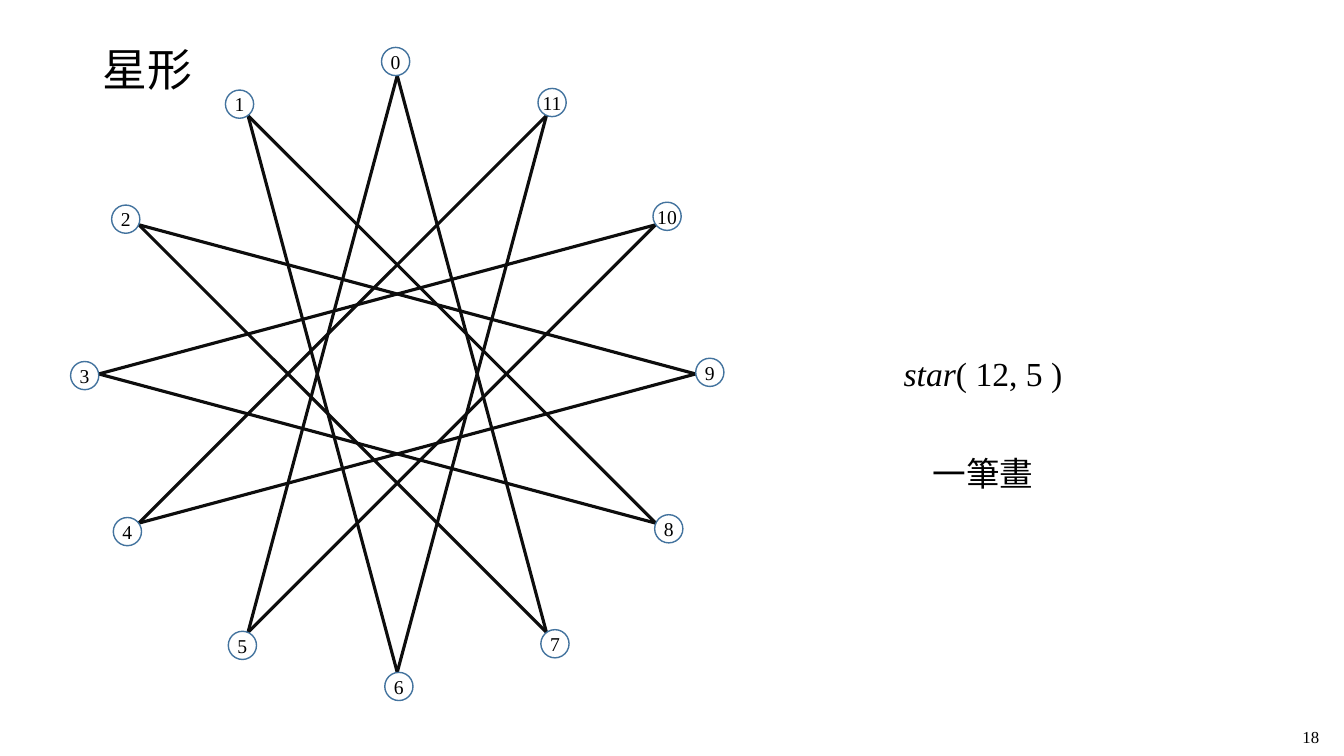
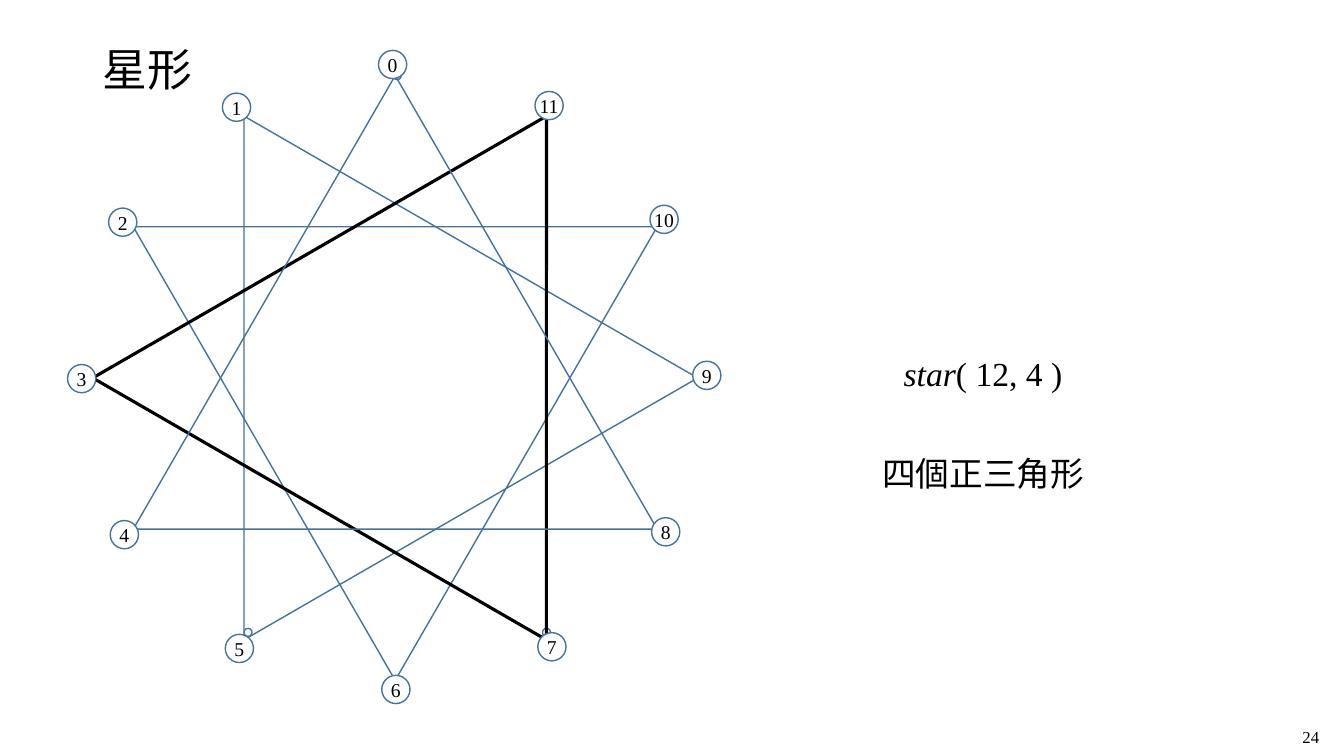
from dataclasses import dataclass
from math import cos, radians, sin

from lxml.etree import SubElement
from pptx import Presentation
from pptx.dml.color import RGBColor
from pptx.enum.shapes import MSO_CONNECTOR, MSO_SHAPE
from pptx.enum.text import MSO_ANCHOR, MSO_AUTO_SIZE, PP_ALIGN
from pptx.oxml.ns import qn
from pptx.util import Inches, Pt


@dataclass(frozen=True)
class Theme:
    black: RGBColor = RGBColor(0, 0, 0)
    ink: RGBColor = RGBColor(0x0D, 0x0D, 0x0D)
    blue: RGBColor = RGBColor(0x43, 0x73, 0x9E)
    white: RGBColor = RGBColor(255, 255, 255)
    serif: str = "Times New Roman"
    cjk: str = "Noto Sans CJK SC"
    title_size: Pt = Pt(32)
    caption_size: Pt = Pt(24)
    badge_size: Pt = Pt(14)
    number_size: Pt = Pt(12)
    thin: Pt = Pt(1)
    thick: Pt = Pt(2.25)


theme = Theme()

POINTS = 12
STAR_CENTRE, STAR_RADIUS = (3.94, 3.71), 2.96
TRIANGLE_CENTRE, TRIANGLE_RADIUS = (3.92, 3.75), 3
BADGE_RADIUS, BADGE_TILT = 3.1, 0.3

# step, caption, page number, centre of the badge ring
STARS = [
    (5, "一筆畫", "18", (3.94, 3.71)),
    (4, "四個正三角形", "24", (3.91, 3.74)),
]


def ring_point(index, centre, radius, tilt=0):
    """Place point `index` in inches, counting anticlockwise from the top."""
    angle = radians(index * 360 / POINTS + tilt)
    return centre[0] - radius * sin(angle), centre[1] - radius * cos(angle)


def style_text(frame, size, font=theme.serif, align=PP_ALIGN.CENTER):
    frame.vertical_anchor = MSO_ANCHOR.MIDDLE
    for para in frame.paragraphs:
        para.alignment = align
        for span in para.runs:
            span.font.size = size
            span.font.color.rgb = theme.black
            span.font.name = font
            SubElement(span.font._element, qn("a:ea"), typeface=theme.cjk)


deck = Presentation()
deck.slide_width, deck.slide_height = Inches(13.33), Inches(7.5)

layout = deck.slide_layouts.get_by_name("Title Only")
layout_title = layout.placeholders[0]
layout_title.left, layout_title.top = Inches(0.92), Inches(0.4)
layout_title.width, layout_title.height = Inches(11.5), Inches(0.62)

for step, caption, number, badge_centre in STARS:
    page = deck.slides.add_slide(layout)
    title = page.shapes.title.text_frame
    title.text = "星形"
    title.auto_size = MSO_AUTO_SIZE.NONE
    title.paragraphs[0].line_spacing = 0.9
    style_text(title, theme.title_size, theme.cjk, PP_ALIGN.LEFT)

    # Captions: the call in italics and roman, then its meaning
    call = [("star", True), (f"( {POINTS}, {step} )", False)]
    for row, spans in enumerate([call, [(caption, False)]]):
        box = page.shapes.add_shape(MSO_SHAPE.RECTANGLE, Inches(8.3),
                                    Inches(3.21 + 0.99 * row), Inches(2.9), Inches(0.99))
        box.shadow.inherit = False
        box.fill.solid()
        box.fill.fore_color.rgb = theme.white
        box.line.fill.background()
        for text, italic in spans:
            span = box.text_frame.paragraphs[0].add_run()
            span.text = text
            span.font.italic = italic
        style_text(box.text_frame, theme.caption_size)

    # Circles as (centre, diameter, label): small marks first, then badges
    badges = [(ring_point(i, badge_centre, BADGE_RADIUS, BADGE_TILT), 0.28, str(i))
              for i in range(POINTS)]
    marks = [(ring_point(i, STAR_CENTRE, STAR_RADIUS), 0.08, "") for i in (7, 0, 5)]

    if POINTS % step:
        # One closed stroke through every point
        circle_sets = [badges]
        for i in range(POINTS):
            start, end = (ring_point(9 + step * k, STAR_CENTRE, STAR_RADIUS)
                          for k in (i, i + 1))
            edge = page.shapes.add_connector(MSO_CONNECTOR.STRAIGHT,
                                             *map(Inches, start + end))
            edge.line.color.rgb = theme.ink
            edge.line.width = theme.thick
            SubElement(edge._element.spPr, qn("a:effectLst"))
    else:
        # Separate triangles, one of them emphasised
        circle_sets = [marks, badges]

    for circles in circle_sets:
        if circles is badges and POINTS % step == 0:
            for first in (9, 10, 11, 8):
                corners = [tuple(map(Inches, ring_point(first + step * k, TRIANGLE_CENTRE,
                                                        TRIANGLE_RADIUS)))
                           for k in range(POINTS // step)]
                outline = page.shapes.build_freeform(*corners[0])
                outline.add_line_segments(corners[1:], close=True)
                triangle = outline.convert_to_shape()
                triangle.shadow.inherit = False
                triangle.fill.background()
                strong = first == 11
                triangle.line.color.rgb = theme.black if strong else theme.blue
                triangle.line.width = theme.thick if strong else theme.thin

        group = page.shapes.add_group_shape()
        for (x, y), diameter, label in circles:
            circle = group.shapes.add_shape(
                MSO_SHAPE.OVAL, Inches(x - diameter / 2), Inches(y - diameter / 2),
                Inches(diameter), Inches(diameter))
            circle.shadow.inherit = False
            circle.fill.solid()
            circle.fill.fore_color.rgb = theme.white
            circle.line.color.rgb = theme.blue
            circle.line.width = theme.thin
            if label:
                circle.text_frame.text = label
                circle.text_frame.word_wrap = False
                style_text(circle.text_frame, theme.badge_size)

    number_box = page.shapes.add_textbox(Inches(12.82), Inches(7.16),
                                         Inches(0.37), Inches(0.3))
    number_box.text_frame.text = number
    number_box.text_frame.word_wrap = False
    number_box.text_frame.auto_size = MSO_AUTO_SIZE.SHAPE_TO_FIT_TEXT
    style_text(number_box.text_frame, theme.number_size, align=PP_ALIGN.LEFT)

deck.save("out.pptx")
